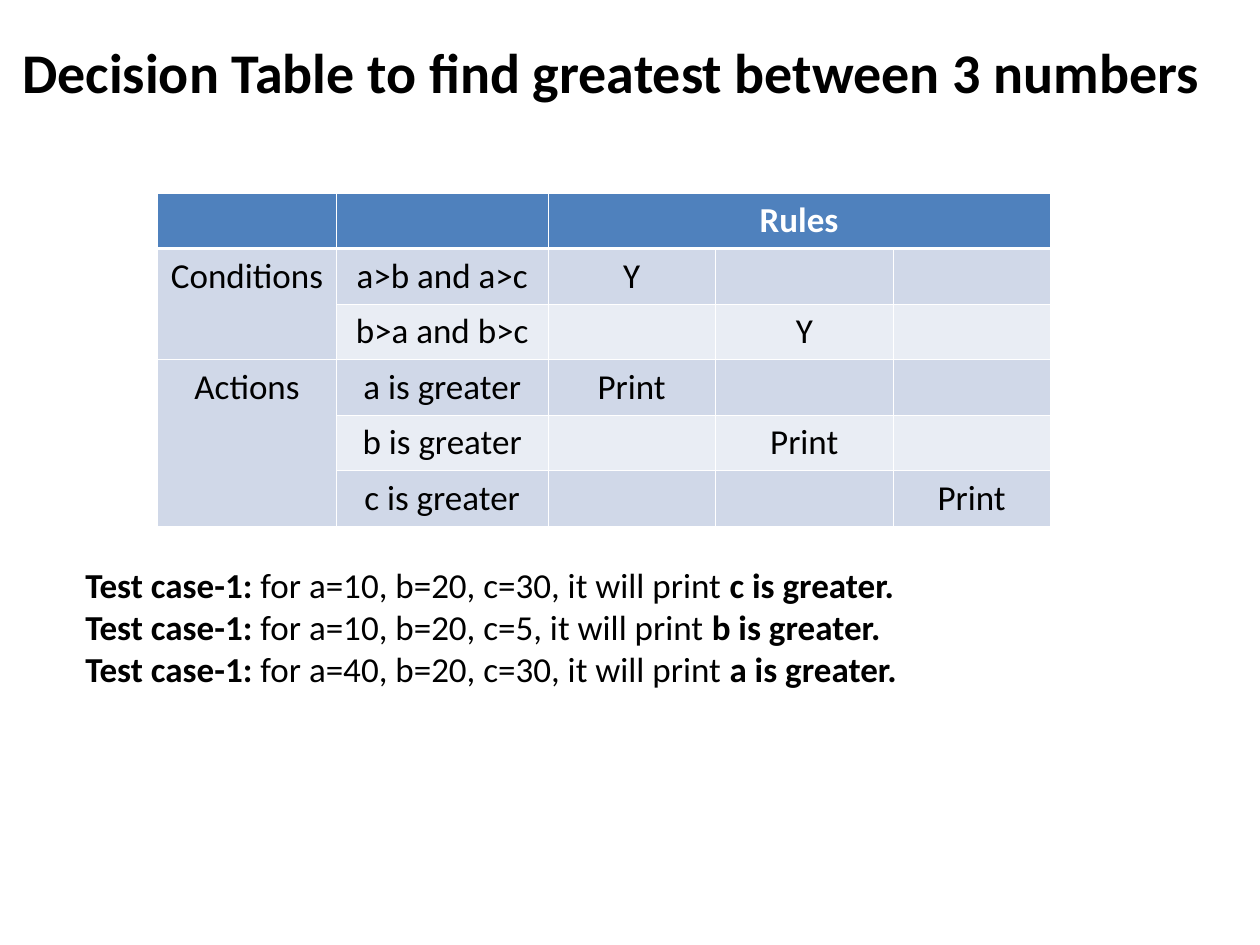
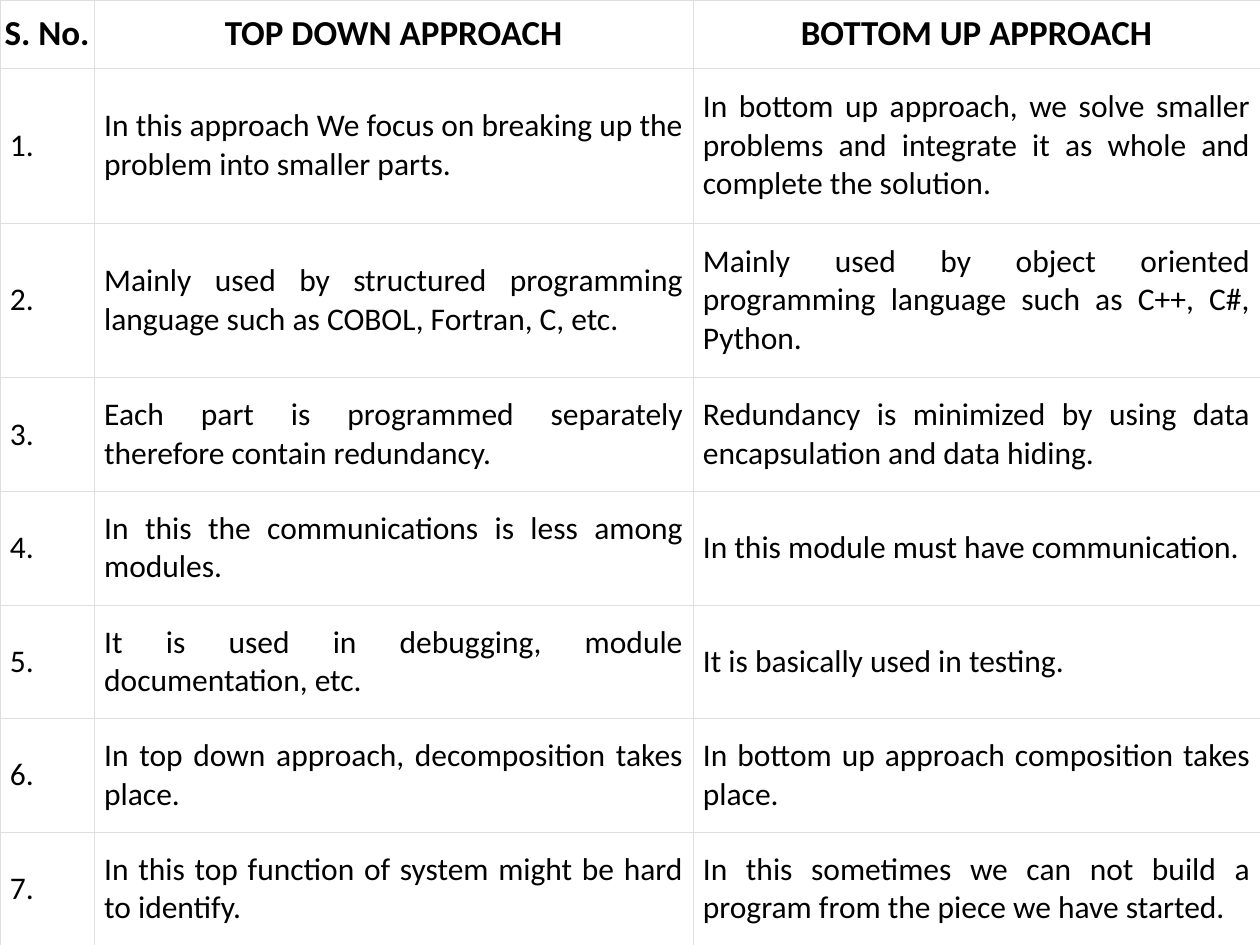
from pptx import Presentation
from pptx.util import Cm, Pt
from pptx.dml.color import RGBColor
from pptx.enum.text import PP_ALIGN, MSO_ANCHOR
from lxml.etree import SubElement
from pptx.oxml.ns import qn

HUES = {"ink": "000000", "white": "FFFFFF", "head": "4F81BD",
        "dark": "D0D8E8", "light": "E9EDF4", "rule": "DFDFDF"}
LEFT, MID, JUST = PP_ALIGN.LEFT, PP_ALIGN.CENTER, PP_ALIGN.JUSTIFY


def write(frame, text, size=20, bold=False, hue="ink", align=LEFT):
    """Lines split at newlines; each bar switches bold on or off."""
    for i, line in enumerate(text.split("\n")):
        para = frame.paragraphs[0] if i == 0 else frame.add_paragraph()
        para.alignment = align
        for j, part in enumerate(line.split("|")):
            run = para.add_run()
            run.text = part
            font = run.font
            font.name, font.size = "Calibri", Pt(size)
            font.bold = bold != (j % 2 == 1)
            font.color.rgb = RGBColor.from_string(HUES[hue])


def paint(cell, fill, edge, width, top=None, base=None):
    """Draw the four borders of a cell, then its fill."""
    props = cell._tc.get_or_add_tcPr()
    sides = {"L": width, "R": width, "T": top or width, "B": base or width}
    for side, wide in sides.items():
        line = SubElement(props, qn(f"a:ln{side}"), w=str(int(Pt(wide))))
        solid = SubElement(line, qn("a:solidFill"))
        SubElement(solid, qn("a:srgbClr"), val=HUES[edge])
    cell.fill.solid()
    cell.fill.fore_color.rgb = RGBColor.from_string(HUES[fill])


deck = Presentation()
deck.slide_width, deck.slide_height = Cm(25.4), Cm(19.05)
blank = deck.slide_layouts[6]

# Both slides: where the table sits, its columns, rows and wording
rules = [
    ["", "", "Rules", "", ""],
    ["Conditions", "a>b and a>c", "Y", "", ""],
    ["", "b>a and b>c", "", "Y", ""],
    ["Actions", "a is greater", "Print", "", ""],
    ["", "b is greater", "", "Print", ""],
    ["", "c is greater", "", "", "Print"],
]
pairs = [
    ("In this approach We focus on breaking up the problem into smaller parts.",
     "In bottom up approach, we solve smaller problems and integrate it "
     "as whole and complete the solution."),
    ("Mainly used by structured programming language such as COBOL, "
     "Fortran, C, etc.",
     "Mainly used by object oriented programming language such as C++, "
     "C#, Python."),
    ("Each part is programmed separately therefore contain redundancy.",
     "Redundancy is minimized by using data encapsulation and data hiding."),
    ("In this the communications is less among modules.",
     "In this module must have communication."),
    ("It is used in debugging, module documentation, etc.",
     "It is basically used in testing."),
    ("In top down approach, decomposition takes place.",
     "In bottom up approach composition takes place."),
    ("In this top function of system might be hard to identify.",
     "In this sometimes we can not build a program from the piece "
     "we have started."),
]
ways = [["S. No.", "TOP DOWN APPROACH", "BOTTOM UP APPROACH"]]
ways += [[f"{n}.", *pair] for n, pair in enumerate(pairs, 1)]

plans = [
    (3.18, 3.89, [3.6, 4.27, 3.37, 3.59, 3.16], [1.12] * 6, rules),
    (0, 0, [1.9, 12.07, 11.43], [1.37] + [3.12] * 2 + [2.29] * 5, ways),
]
slides, grids = [], []
for left, top, cols, rows, words in plans:
    slide = deck.slides.add_slide(blank)
    grid = slide.shapes.add_table(len(rows), len(cols), Cm(left), Cm(top),
                                  Cm(sum(cols)), Cm(sum(rows))).table
    grid.first_row = grid.horz_banding = False
    for col, width in zip(grid.columns, cols):
        col.width = Cm(width)
    for row, height in zip(grid.rows, rows):
        row.height = Cm(height)
    slides.append(slide)
    grids.append(grid)

# Slide 1: decision table
grid = grids[0]
for r, row in enumerate(rules):
    for c, text in enumerate(row):
        cell = grid.cell(r, c)
        fill = "head" if r == 0 else "dark" if r % 2 or c == 0 else "light"
        paint(cell, fill, "white", 0.45, top=1.47 if r == 1 else None,
              base=1.47 if r == 0 else None)
        if text:
            write(cell.text_frame, text, bold=r == 0, align=MID,
                  hue="white" if r == 0 else "ink")
for first, last in [((0, 2), (0, 4)), ((1, 0), (2, 0)), ((3, 0), (5, 0))]:
    grid.cell(*first).merge(grid.cell(*last))

# Slide 1: title and test cases
cases = [("30", "c"), ("5", "b"), ("30", "a")]
tests = "\n".join(
    f"Test case-1: |for a={40 if big == 'a' else 10}, b=20, c={low}, "
    f"it will print |{big} is greater." for low, big in cases)
boxes = [
    (0.2, 0.64, 24.97, 1.63, "Decision Table to find greatest between 3 numbers", 32),
    (1.47, 11.23, 19.69, 2.79, tests, 20),
]
for left, top, width, height, text, size in boxes:
    box = slides[0].shapes.add_textbox(Cm(left), Cm(top), Cm(width), Cm(height))
    box.text_frame.word_wrap = True
    write(box.text_frame, text, size=size, bold=True)

# Slide 2: comparison of approaches
for r, row in enumerate(ways):
    for c, text in enumerate(row):
        cell = grids[1].cell(r, c)
        paint(cell, "white", "rule", 0.11)
        cell.vertical_anchor = MSO_ANCHOR.MIDDLE
        cell.margin_left = cell.margin_right = Cm(0.2 if r or c else 0.08)
        write(cell.text_frame, text, size=18 if r else 20, bold=r == 0,
              align=MID if r == 0 else JUST if c else LEFT)

deck.save("out.pptx")
